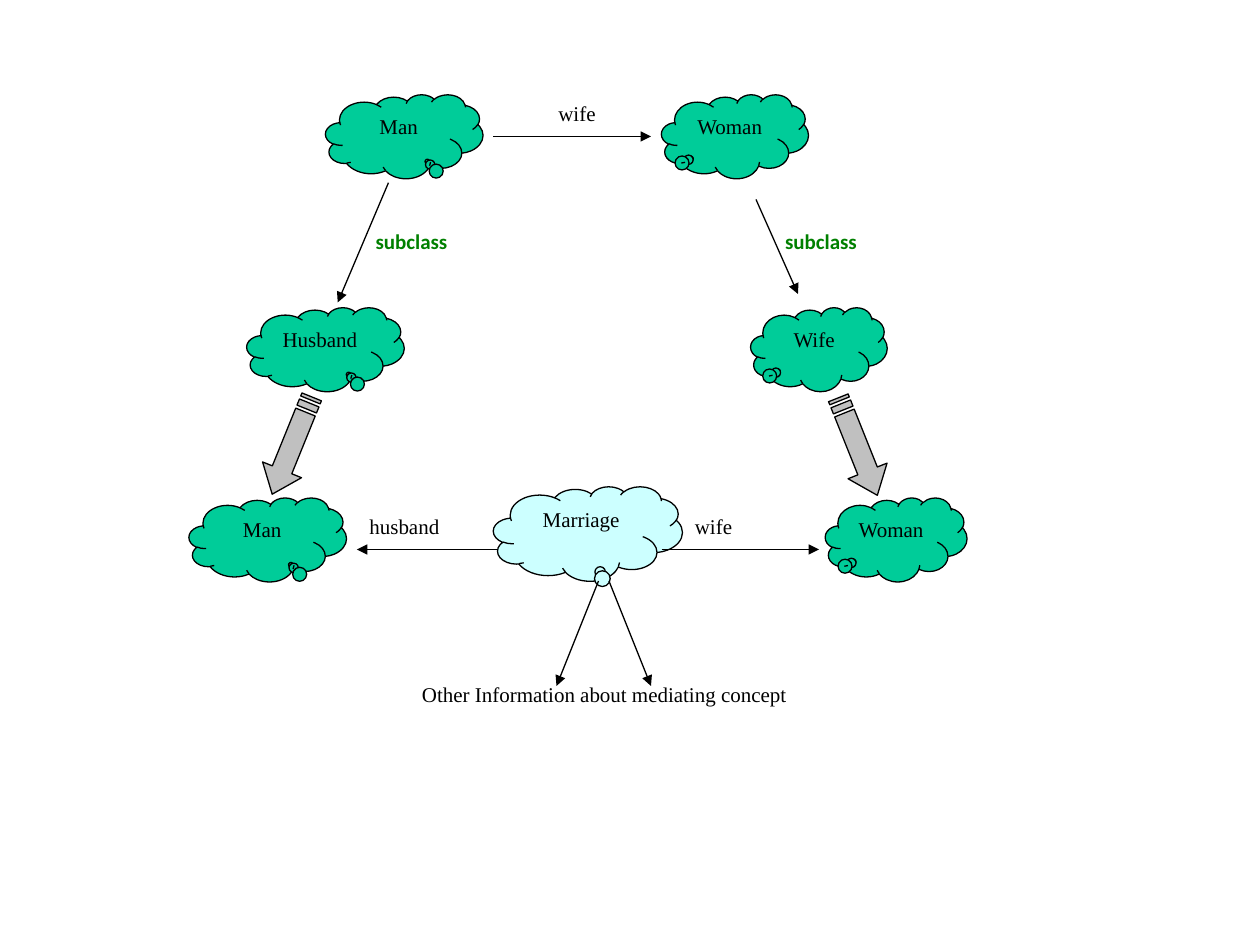
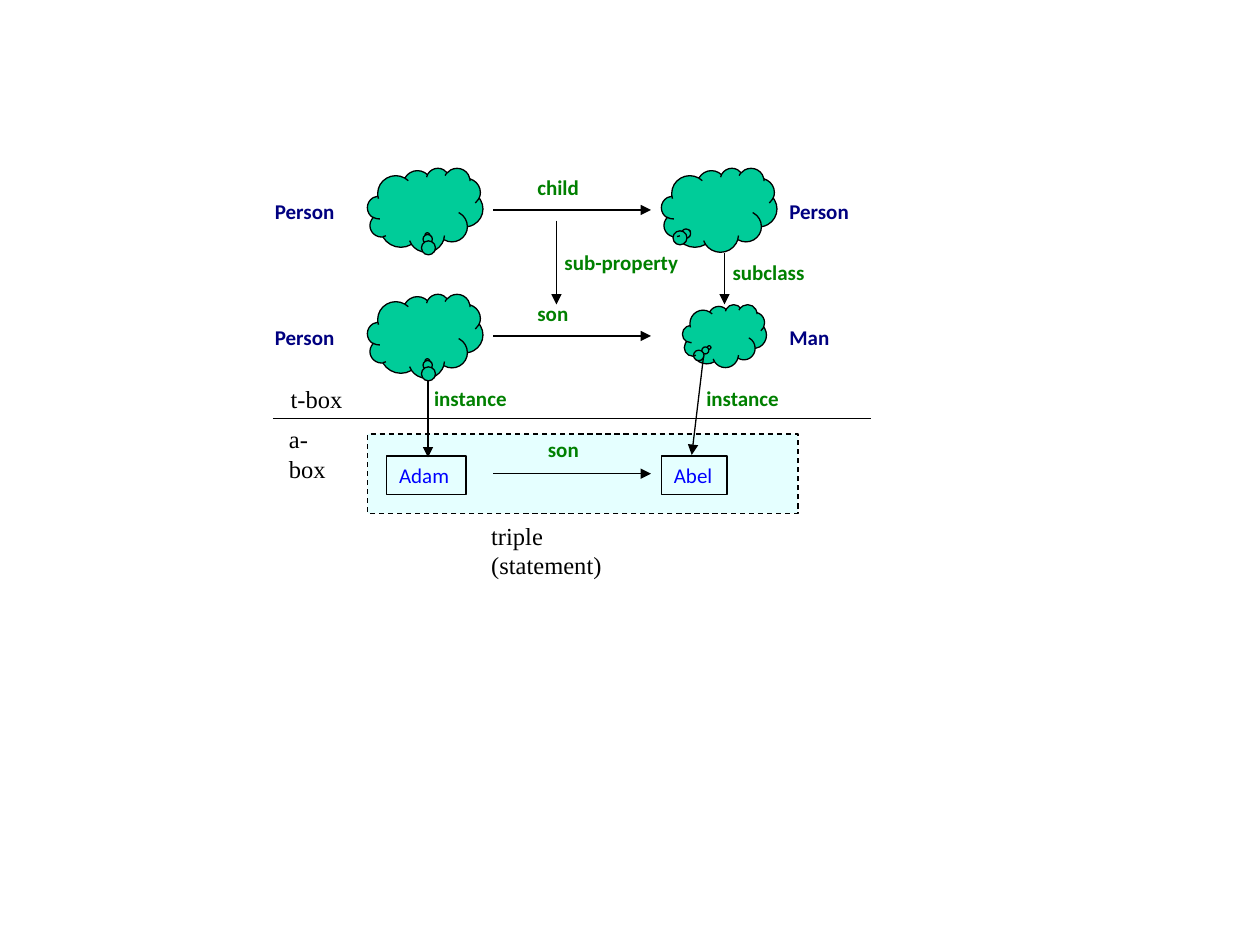
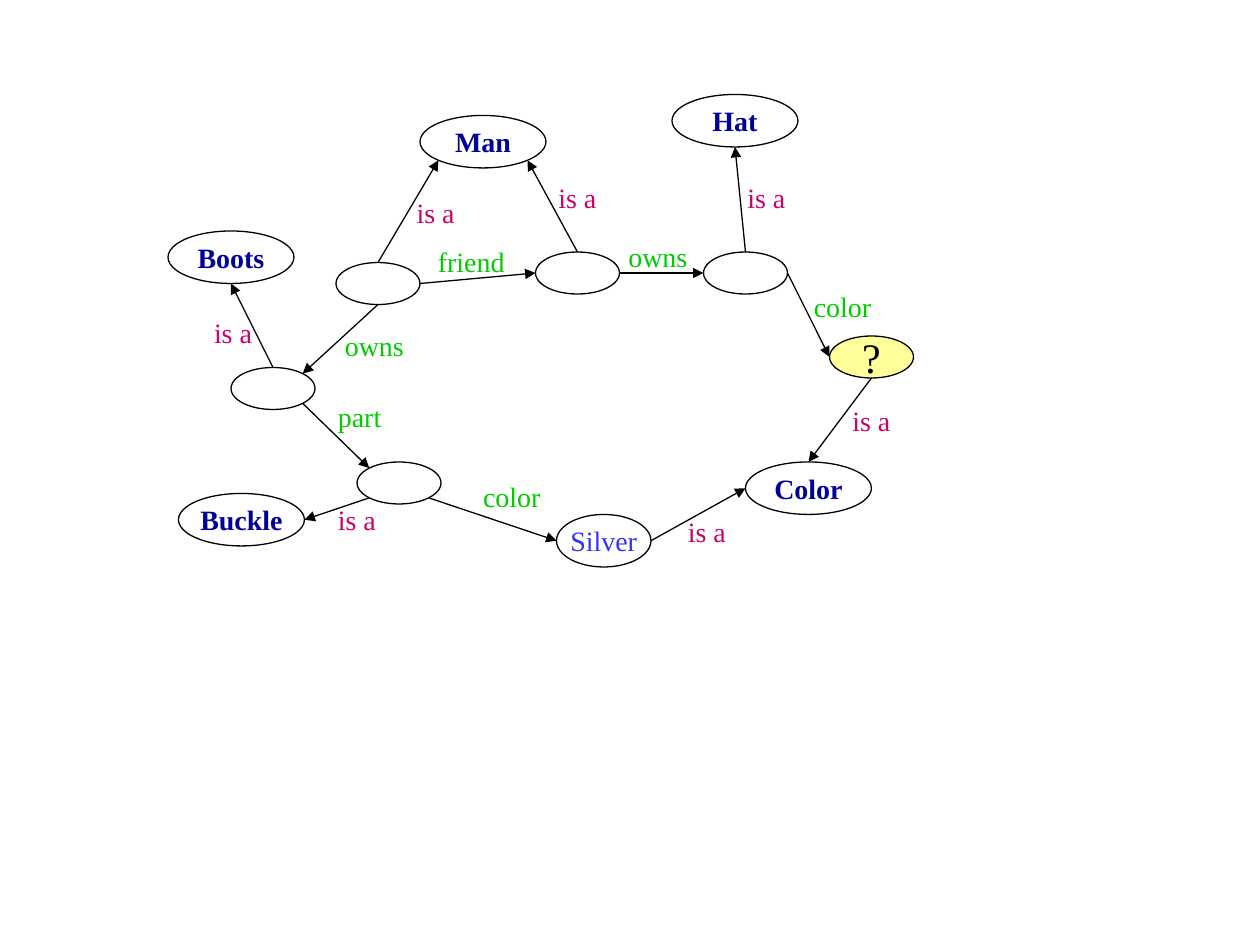
from dataclasses import dataclass
from functools import singledispatch
from math import sqrt

import pptx
import pptx.dml.color
import pptx.enum.dml
import pptx.enum.shapes
import pptx.enum.text
import pptx.oxml
import pptx.oxml.ns
import pptx.util

Pt = pptx.util.Pt
SHAPE = pptx.enum.shapes.MSO_SHAPE
ALIGN = pptx.enum.text.PP_ALIGN
ANCHOR = pptx.enum.text.MSO_ANCHOR
FIT = pptx.enum.text.MSO_AUTO_SIZE.SHAPE_TO_FIT_TEXT

BLACK, TEAL, ICE, GREY, YELLOW = "000000", "00CC99", "CCFFFF", "C0C0C0", "FFFF99"
SERIF, SANS = "Times New Roman", "Calibri"


@dataclass(frozen=True)
class Type:
    size: float
    color: str = BLACK
    font: str = SERIF
    bold: bool = False


PLAIN = Type(12)
LARGE = Type(14)
GREEN = Type(12, "008000", SANS, True)
NAVY = Type(12, "000080", SANS, True)
BLUE = Type(12, "0000FF", SANS)
CLASS = Type(16, "000099", bold=True)
VALUE = Type(16, "3333FF")
QUERY = Type(24)
IS_A = Type(16, "CC0066")
VERB = Type(16, "00CC00")


@dataclass(frozen=True)
class Cloud:
    x: float
    y: float
    w: float
    h: float
    tail: tuple[float, float]
    text: str = ""
    fill: str = TEAL


@dataclass(frozen=True)
class Label:
    text: str
    x: float
    y: float
    w: float
    type: Type = PLAIN
    wrap: bool = True


@dataclass(frozen=True)
class Line:
    x1: float
    y1: float
    x2: float
    y2: float
    arrow: bool = True


@dataclass(frozen=True)
class Block:
    """A striped block arrow, placed before it is turned."""
    x: float
    y: float
    turn: float
    w: float = 60
    h: float = 24


@dataclass(frozen=True)
class Frame:
    x: float
    y: float
    w: float
    h: float


@dataclass(frozen=True)
class Box:
    text: str
    x: float
    y: float
    w: float
    h: float = 22


@dataclass(frozen=True)
class Oval:
    x: float
    y: float
    w: float = 48
    h: float = 24
    text: str = ""
    type: Type = CLASS
    fill: str = ""

    def port(self, side: str) -> tuple[float, float]:
        """Give the point of the rim on a compass side such as N or SW."""
        dx = ("E" in side) - ("W" in side)
        dy = ("S" in side) - ("N" in side)
        reach = 2 * sqrt(dx * dx + dy * dy)
        return (self.x + self.w * (0.5 + dx / reach),
                self.y + self.h * (0.5 + dy / reach))


def rgb(code: str) -> pptx.dml.color.RGBColor:
    return pptx.dml.color.RGBColor.from_string(code)


def paint(shape, fill: str = "") -> None:
    shape.shadow.inherit = False
    if fill:
        shape.fill.solid()
        shape.fill.fore_color.rgb = rgb(fill)
    else:
        shape.fill.background()
    shape.line.color.rgb = rgb(BLACK)
    shape.line.width = Pt(0.75)


def write(shape, text: str, type: Type, align=ALIGN.LEFT,
          anchor=ANCHOR.TOP, wrap: bool = True) -> None:
    frame = shape.text_frame
    frame.text = text
    frame.word_wrap = wrap
    frame.vertical_anchor = anchor
    for par in frame.paragraphs:
        par.alignment = align
        for run in par.runs:
            run.font.name = type.font
            run.font.size = Pt(type.size)
            run.font.bold = type.bold
            run.font.color.rgb = rgb(type.color)


def place(slide, kind, item):
    return slide.shapes.add_shape(
        kind, Pt(item.x), Pt(item.y), Pt(item.w), Pt(item.h))


@singledispatch
def draw(item, slide) -> None:
    raise TypeError(item)


@draw.register
def draw_cloud(item: Cloud, slide) -> None:
    shape = place(slide, SHAPE.CLOUD_CALLOUT, item)
    shape.adjustments[0], shape.adjustments[1] = item.tail
    paint(shape, item.fill)
    if item.text:
        write(shape, item.text, PLAIN, ALIGN.CENTER)


@draw.register
def draw_label(item: Label, slide) -> None:
    high = item.type.size * 1.2 + 7.2
    shape = slide.shapes.add_textbox(
        Pt(item.x), Pt(item.y), Pt(item.w), Pt(high))
    write(shape, item.text, item.type, wrap=item.wrap)
    shape.text_frame.auto_size = FIT


@draw.register
def draw_line(item: Line, slide) -> None:
    line = slide.shapes.add_connector(
        pptx.enum.shapes.MSO_CONNECTOR.STRAIGHT,
        Pt(item.x1), Pt(item.y1), Pt(item.x2), Pt(item.y2))
    line.line.color.rgb = rgb(BLACK)
    line.line.width = Pt(0.75)
    if item.arrow:
        end = pptx.oxml.parse_xml(
            f'<a:tailEnd {pptx.oxml.ns.nsdecls("a")} type="triangle"/>')
        line.line._get_or_add_ln().append(end)
    line._element.spPr.append(pptx.oxml.parse_xml(
        f'<a:effectLst {pptx.oxml.ns.nsdecls("a")}/>'))


@draw.register
def draw_block(item: Block, slide) -> None:
    def at(u: float, v: float) -> tuple[int, int]:
        return Pt(item.x + u * item.w), Pt(item.y + v * item.h)

    def bar(u1: float, u2: float) -> list[tuple[int, int]]:
        return [at(u1, .25), at(u2, .25), at(u2, .75), at(u1, .75)]

    body = [at(5 / 32, .25), at(.75, .25), at(.75, 0), at(1, .5),
            at(.75, 1), at(.75, .75), at(5 / 32, .75)]
    pen = slide.shapes.build_freeform(*body[0])
    pen.add_line_segments(body[1:], close=True)
    for part in (bar(1 / 16, 1 / 8), bar(0, 1 / 32)):
        pen.move_to(*part[0])
        pen.add_line_segments(part[1:], close=True)
    shape = pen.convert_to_shape()
    shape.rotation = item.turn
    paint(shape, GREY)


@draw.register
def draw_frame(item: Frame, slide) -> None:
    shape = place(slide, SHAPE.RECTANGLE, item)
    paint(shape, ICE)
    shape.line.dash_style = pptx.enum.dml.MSO_LINE.DASH
    tint = shape._element.spPr.find(".//" + pptx.oxml.ns.qn("a:srgbClr"))
    tint.append(pptx.oxml.parse_xml(
        f'<a:alpha {pptx.oxml.ns.nsdecls("a")} val="50000"/>'))


@draw.register
def draw_box(item: Box, slide) -> None:
    shape = place(slide, SHAPE.RECTANGLE, item)
    paint(shape)
    write(shape, item.text, BLUE, wrap=False)
    shape.text_frame.auto_size = FIT


@draw.register
def draw_oval(item: Oval, slide) -> None:
    shape = place(slide, SHAPE.OVAL, item)
    paint(shape, item.fill)
    if item.text:
        write(shape, item.text, item.type, ALIGN.CENTER, ANCHOR.MIDDLE, False)


def male(text: str, x: float, y: float) -> Cloud:
    return Cloud(x, y, 90, 48, (0.147, 0.299), text)


def female(text: str, x: float, y: float, w: float) -> Cloud:
    return Cloud(x, y, w, 48, (-0.3, 0.263), text)


def tag(text: str, x: float, y: float, type: Type, w: float) -> Label:
    return Label(text, x, y, w, type, wrap=False)


def concept(text: str, x: float, y: float) -> Oval:
    return Oval(x, y, 72, 30, text)


MARRIAGE = [
    male("Man", 186, 54),
    female("Woman", 378, 54, 84),
    Line(282, 78, 372, 78),
    Label("wife", 312, 54, 66),
    male("Man", 108, 284.4),
    female("Woman", 471.6, 284.4, 81),
    Line(294, 314, 204, 314),
    Label("husband", 204, 290, 84),
    Cloud(282, 278, 108, 54, (0.062, 0.387), "Marriage", ICE),
    Line(378, 314, 468, 314),
    Label("wife", 390, 290, 84),
    Line(348, 332, 372, 392),
    Line(342, 332, 318, 392),
    tag("Other Information about mediating concept", 234, 386, PLAIN, 226),
    Block(136.8, 242.6, 112.1),
    Block(460.2, 243.2, 68.2),
    male("Husband", 141, 175.7),
    female("Wife", 429, 175.7, 78),
    Line(432, 114, 456, 168),
    Label("subclass", 441.5, 127, 84, GREEN),
    Line(222, 104.4, 193, 172.8),
    Label("subclass", 207.5, 127, 84, GREEN),
]

TRIPLE = [
    Frame(210, 248, 246, 45.4),
    Cloud(210, 168, 66, 48, (0.019, 0.299)),
    Cloud(390, 174, 48, 36, (-0.182, 0.184)),
    Line(282, 192, 372, 192),
    Label("son", 300, 168, 84, GREEN),
    tag("Person", 150, 182, NAVY, 50.4),
    tag("Man", 444, 182, NAVY, 37.4),
    Line(156, 239, 498, 239, arrow=False),
    tag("t-box", 159, 216, LARGE, 44),
    tag("a-box", 158, 239, LARGE, 46),
    Box("Adam", 221, 260.6, 45.4),
    Line(282, 270.7, 372, 270.7),
    Label("son", 306, 246, 84, GREEN),
    Box("Abel", 378, 260.6, 37.4),
    Line(244.6, 218, 244.6, 261.4),
    Line(402, 204, 395.3, 260),
    tag("triple (statement)", 273.6, 294, LARGE, 110),
    Cloud(210, 96, 66, 48, (0.019, 0.299)),
    Cloud(378, 96, 66, 48, (-0.269, 0.263)),
    Line(282, 120, 372, 120),
    Label("child", 300, 96, 78, GREEN),
    tag("Person", 150, 110, NAVY, 50.4),
    tag("Person", 444, 110, NAVY, 50.4),
    Line(414, 144.7, 414, 174),
    Label("subclass", 411.5, 145, 84, GREEN),
    Line(318, 126, 318, 174),
    Label("sub-property", 315.5, 139, 92, GREEN),
    Label("instance", 396.5, 217, 84, GREEN),
    Label("instance", 241, 217, 77, GREEN),
]

OVALS = {
    "hat class": concept("Hat", 384, 54),
    "boot class": concept("Boots", 96, 132),
    "color class": concept("Color", 426, 264),
    "buckle class": concept("Buckle", 102, 282),
    "man class": concept("Man", 240, 66),
    "query": Oval(474, 192, text="?", type=QUERY, fill=YELLOW),
    "silver": Oval(318, 294, 54, 30, "Silver", VALUE),
    "hat": Oval(402, 144),
    "man": Oval(192, 150),
    "friend": Oval(306, 144),
    "buckle": Oval(204, 264),
    "boots": Oval(132, 210),
}

LINKS = [
    ("query", "S", "color class", "N"),
    ("hat", "N", "hat class", "S"),
    ("hat", "E", "query", "W"),
    ("friend", "E", "hat", "W"),
    ("man", "N", "man class", "SW"),
    ("boots", "N", "boot class", "S"),
    ("friend", "N", "man class", "SE"),
    ("man", "E", "friend", "W"),
    ("man", "S", "boots", "NE"),
    ("buckle", "SW", "buckle class", "E"),
    ("boots", "SE", "buckle", "NW"),
    ("buckle", "SE", "silver", "W"),
    ("silver", "E", "color class", "W"),
]

IS_A_SPOTS = [(480, 226.8), (420, 99.4), (231, 108), (115.2, 177),
              (312, 99.4), (186, 283.7), (386, 290.2)]

NETWORK = [
    *OVALS.values(),
    *(Line(*OVALS[a].port(p), *OVALS[b].port(q)) for a, p, b, q in LINKS),
    *(tag("is a", x, y, IS_A, 36.7) for x, y in IS_A_SPOTS),
    tag("owns", 352, 133.2, VERB, 48.2),
    tag("friend", 243.2, 136.2, VERB, 52.6),
    tag("part", 186, 224.6, VERB, 39.6),
    tag("color", 458, 162, VERB, 47.5),
    tag("owns", 190, 184.3, VERB, 48.2),
    tag("color", 269, 270.7, VERB, 47.5),
]


def main() -> None:
    deck = pptx.Presentation()
    deck.slide_width, deck.slide_height = Pt(720), Pt(540)
    for items in (MARRIAGE, TRIPLE, NETWORK):
        slide = deck.slides.add_slide(deck.slide_layouts[6])
        for item in items:
            draw(item, slide)
    deck.save("out.pptx")


if __name__ == "__main__":
    main()
